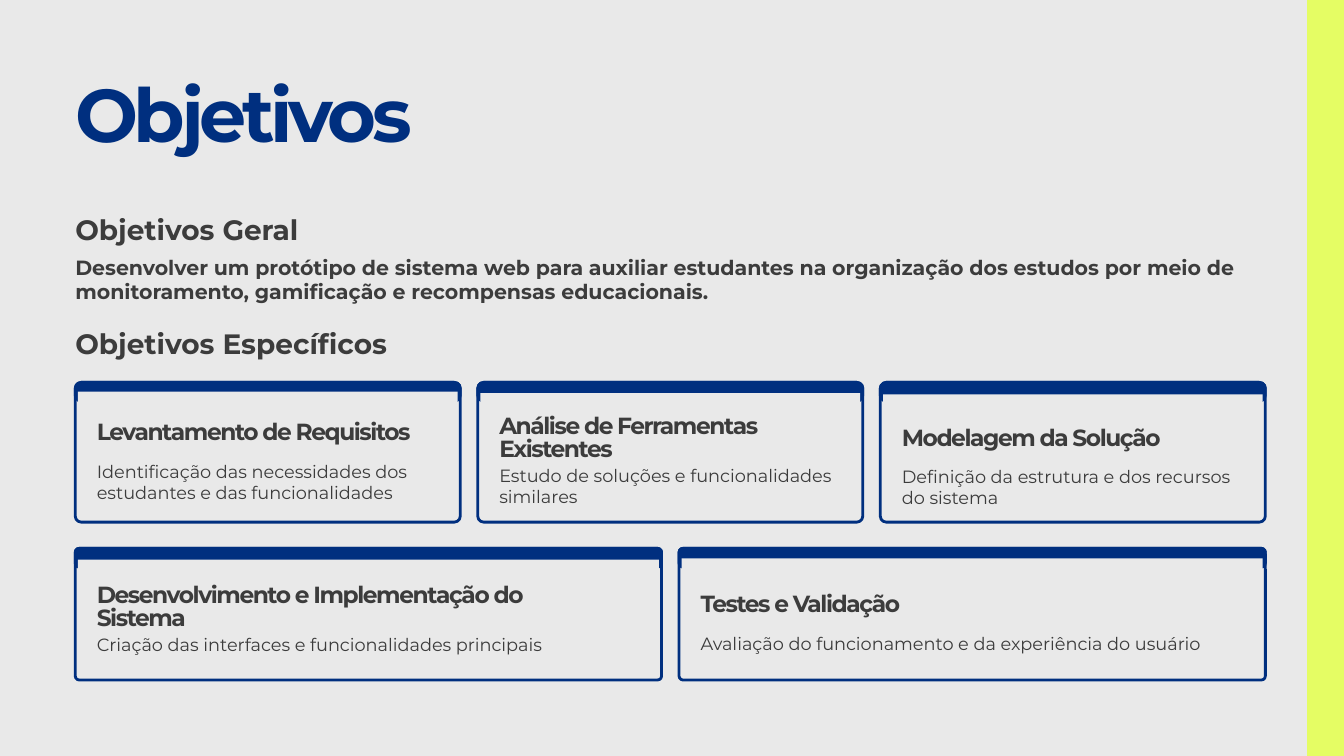
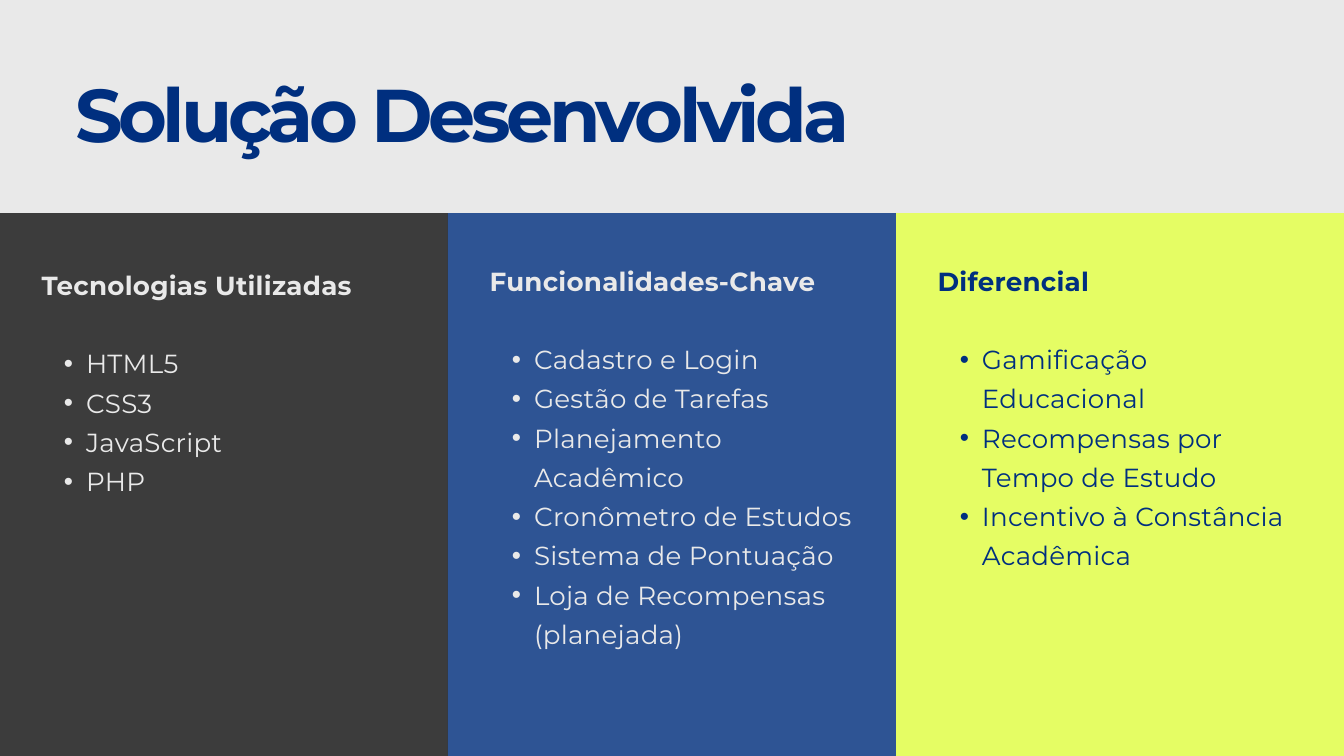
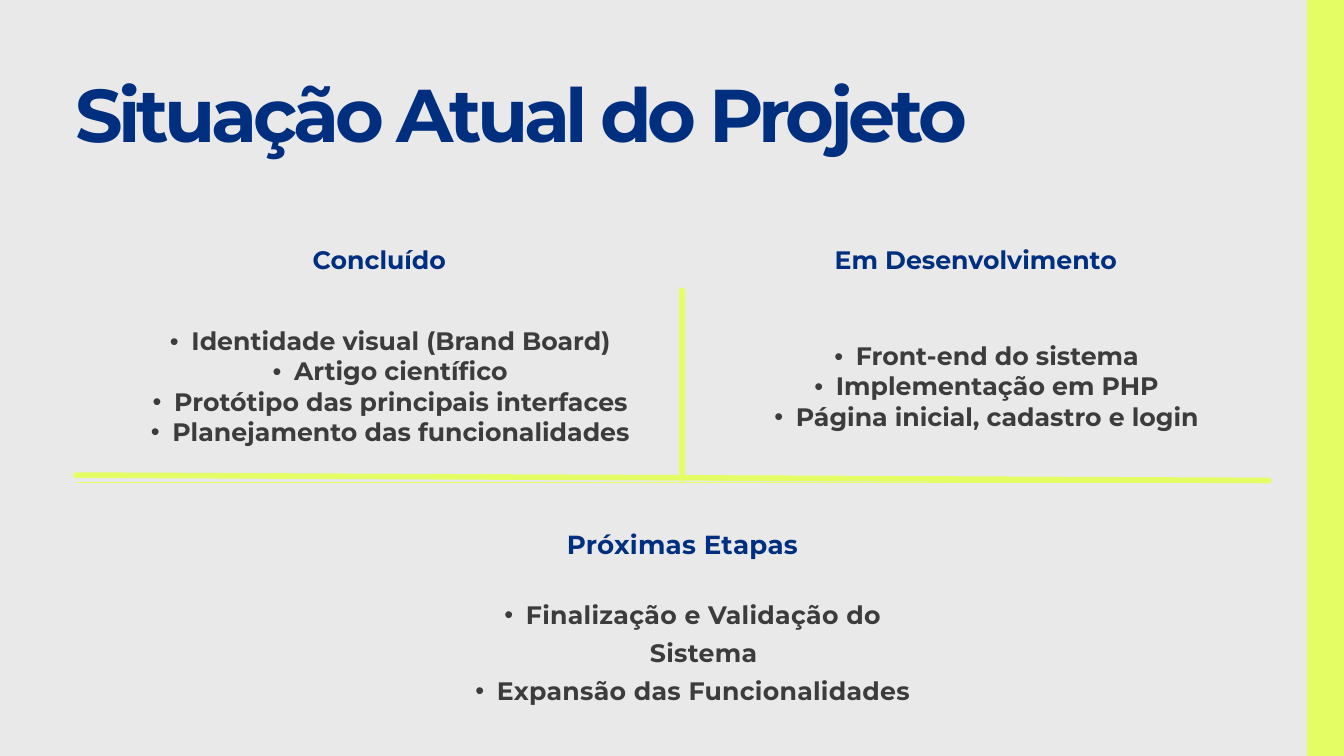
from collections import namedtuple
from lxml.etree import SubElement
from pptx import Presentation
from pptx.dml.color import RGBColor
from pptx.enum.shapes import MSO_CONNECTOR, MSO_SHAPE
from pptx.enum.text import MSO_ANCHOR, PP_ALIGN
from pptx.oxml.ns import qn
from pptx.util import Inches, Pt

Style = namedtuple("Style", "size leading bold tracking", defaults=(True, 0))


class Theme:
    font = "Montserrat"
    paper, navy, lime, ink = "E9E9E9", "002F7F", "E5FD64", "3C3C3C"
    title = Style(80, 64, tracking=-4.7)
    heading = Style(30, 36)
    goal = Style(22, 26.4)
    card_title = Style(25, 20, tracking=-1.5)
    card_title_tall = Style(25, 25, tracking=-1.5)
    card_body = Style(19, 22.8, False)
    column_title = Style(28, 42, tracking=0.3)
    column_item = Style(28, 42, False, 0.3)
    status_title = Style(27, 37.8)
    status_item = Style(27, 32.4)
    next_item = Style(27, 40.5, tracking=0.3)


def write(frame, lines, style, color, align=PP_ALIGN.LEFT, indent=0):
    """Append one paragraph per line, bulleted when an indent is given."""
    for line in lines:
        paragraph = frame.paragraphs[0] if not frame.text else frame.add_paragraph()
        paragraph.alignment = align
        paragraph.line_spacing = Pt(style.leading)
        if indent:
            paragraph.level = 1
            properties = paragraph._p.get_or_add_pPr()
            properties.set("marL", str(Inches(indent)))
            properties.set("indent", str(-Inches(indent / 2)))
            SubElement(properties, qn("a:buFont")).set("typeface", "Arial")
            SubElement(properties, qn("a:buChar")).set("char", "•")
        span = paragraph.add_run()
        span.text = line
        span.font.name = Theme.font
        span.font.size = Pt(style.size)
        span.font.bold = style.bold
        span.font.color.rgb = RGBColor.from_string(color)
        span._r.get_or_add_rPr().set("spc", str(round(style.tracking * 100)))


def add_block(page, place, fill=None, line=None, radius=0):
    kind = MSO_SHAPE.ROUNDED_RECTANGLE if radius else MSO_SHAPE.RECTANGLE
    block = page.shapes.add_shape(kind, *map(Inches, place))
    block.shadow.inherit = False
    if radius:
        block.adjustments[0] = radius / min(place[2:])
    if fill:
        block.fill.solid()
        block.fill.fore_color.rgb = RGBColor.from_string(fill)
    else:
        block.fill.background()
    if line:
        block.line.color.rgb = RGBColor.from_string(line)
        block.line.width = Pt(3)
    else:
        block.line.fill.background()
    return block


deck = Presentation()
deck.slide_width, deck.slide_height = Inches(20), Inches(11.25)

# Shared background, title and side band
pages = []
for title, has_band in [("Objetivos", True), ("Solução Desenvolvida", False),
                        ("Situação Atual do Projeto", True)]:
    page = deck.slides.add_slide(deck.slide_layouts[6])
    page.background.fill.solid()
    page.background.fill.fore_color.rgb = RGBColor.from_string(Theme.paper)
    if has_band:
        add_block(page, (19.45, 0, 0.55, 11.25), Theme.lime)
    box = page.shapes.add_textbox(Inches(1.12), Inches(1.46), Inches(17.75), Inches(1))
    write(box.text_frame, [title], Theme.title, Theme.navy)
    pages.append(page)
goals_page, solution_page, status_page = pages

# Objectives
for top, height, text, style in [
    (3.16, 0.48, "Objetivos Geral", Theme.heading),
    (3.79, 0.73, "Desenvolver um protótipo de sistema web para auxiliar estudantes na organização "
     "dos estudos por meio de monitoramento, gamificação e recompensas educacionais.", Theme.goal),
    (4.86, 0.5, "Objetivos Específicos", Theme.heading),
]:
    box = goals_page.shapes.add_textbox(Inches(1.12), Inches(top), Inches(17.75), Inches(height))
    write(box.text_frame, [text], style, Theme.ink)

# Each card: band thickness, title top, title style, title, body top, body
card_rows = [
    (5.69, 2.08, 0.09, 5.11, 5.11, [
        (0.14, 6.35, Theme.card_title, "Levantamento de Requisitos",
         6.85, "Identificação das necessidades dos estudantes e das funcionalidades"),
        (0.16, 6.19, Theme.card_title_tall, "Análise de Ferramentas Existentes",
         6.91, "Estudo de soluções e funcionalidades similares"),
        (0.18, 6.43, Theme.card_title, "Modelagem da Solução",
         6.93, "Definição da estrutura e dos recursos do sistema"),
    ]),
    (8.16, 1.96, 0.06, 7.61, 8.37, [
        (0.17, 8.7, Theme.card_title_tall, "Desenvolvimento e Implementação do Sistema",
         9.43, "Criação das interfaces e funcionalidades principais"),
        (0.15, 8.91, Theme.card_title, "Testes e Validação",
         9.41, "Avaliação do funcionamento e da experiência do usuário"),
    ]),
]
card_gap = 0.26
for top, height, radius, title_width, body_width, cards in card_rows:
    width = (17.71 - card_gap * (len(cards) - 1)) / len(cards)
    for index, (band, title_top, title_style, title, body_top, body) in enumerate(cards):
        left = 1.12 + index * (width + card_gap)
        add_block(goals_page, (left, top, width, height), None, Theme.navy, radius)
        add_block(goals_page, (left, top, width, 0.28), Theme.navy, Theme.navy, radius)
        add_block(goals_page, (left + 0.04, top + band, width - 0.08, 0.34), Theme.paper)
        for text, text_top, text_width, style in [
            (title, title_top, title_width, title_style),
            (body, body_top, body_width, Theme.card_body),
        ]:
            box = goals_page.shapes.add_textbox(
                Inches(left + 0.32), Inches(text_top), Inches(text_width), Inches(0.62))
            write(box.text_frame, [text], style, Theme.ink)

# Solution columns
columns = [
    (Theme.ink, 100, Theme.paper, 3.89, "Tecnologias Utilizadas",
     ["HTML5", "CSS3", "JavaScript", "PHP"]),
    (Theme.navy, 80, Theme.paper, 3.83, "Funcionalidades-Chave",
     ["Cadastro e Login", "Gestão de Tarefas", "Planejamento Acadêmico",
      "Cronômetro de Estudos", "Sistema de Pontuação", "Loja de Recompensas (planejada)"]),
    (Theme.lime, 100, Theme.navy, 3.83, "Diferencial",
     ["Gamificação Educacional", "Recompensas por Tempo de Estudo",
      "Incentivo à Constância Acadêmica"]),
]
column_width = 20 / len(columns)
for index, (fill, opacity, color, top, title, items) in enumerate(columns):
    left = index * column_width
    column = add_block(solution_page, (left, 3.17, column_width, 8.08), fill)
    if opacity < 100:
        fill_color = column._element.spPr.find(qn("a:solidFill")).find(qn("a:srgbClr"))
        SubElement(fill_color, qn("a:alpha")).set("val", str(opacity * 1000))
    box = solution_page.shapes.add_textbox(
        Inches(left + 0.62), Inches(top), Inches(5.42), Inches(5.69))
    write(box.text_frame, [title], Theme.column_title, color)
    write(box.text_frame, items, Theme.column_item, color, indent=0.66)
    box.text_frame.paragraphs[1].space_before = Pt(Theme.column_item.leading)

# Project status
status = [
    ("Concluído", ["Identidade visual (Brand Board)", "Artigo científico",
                   "Protótipo das principais interfaces", "Planejamento das funcionalidades"]),
    ("Em Desenvolvimento", ["Front-end do sistema", "Implementação em PHP",
                            "Página inicial, cadastro e login"]),
]
table = status_page.shapes.add_table(
    2, 2, Inches(1.13), Inches(3.33), Inches(17.75), Inches(3.85)).table
table.first_row = table.horz_banding = False
for index, size in enumerate([9.03, 8.72]):
    table.columns[index].width = Inches(size)
for index, size in enumerate([1.01, 2.84]):
    table.rows[index].height = Inches(size)
for index, (title, items) in enumerate(status):
    inner_side = "R" if index == 0 else "L"
    for row, (lines, style, color, indent, ruled) in enumerate([
        ([title], Theme.status_title, Theme.navy, 0, ""),
        (items, Theme.status_item, Theme.ink, 0.64, inner_side + "B"),
    ]):
        cell = table.cell(row, index)
        cell.vertical_anchor = MSO_ANCHOR.MIDDLE
        cell.margin_left = cell.margin_right = Inches(0.21)
        cell.margin_top = cell.margin_bottom = Inches(0.21)
        write(cell.text_frame, lines, style, color, PP_ALIGN.CENTER, indent)
        for side in "LRTB":
            border = SubElement(cell._tc.get_or_add_tcPr(), qn("a:ln" + side))
            if side in ruled:
                border.set("w", str(Pt(2.25)))
                border_fill = SubElement(border, qn("a:solidFill"))
                SubElement(border_fill, qn("a:srgbClr")).set("val", Theme.lime)
            else:
                SubElement(border, qn("a:noFill"))
        cell.fill.background()

for ends in [(1.13, 7.07, 18.88, 7.15), (10.15, 7.1, 10.15, 4.32)]:
    divider = status_page.shapes.add_connector(MSO_CONNECTOR.STRAIGHT, *map(Inches, ends))
    divider.line.color.rgb = RGBColor.from_string(Theme.lime)
    divider.line.width = Pt(6)
    divider.line._get_or_add_ln().set("cap", "rnd")
    SubElement(divider._element.spPr, qn("a:effectLst"))

for place, lines, style, color, indent in [
    ((8.37, 7.74, 3.57, 0.53), ["Próximas Etapas"], Theme.column_title, Theme.navy, 0),
    ((6.46, 8.81, 7.38, 1.1), ["Finalização e Validação do Sistema",
                               "Expansão das Funcionalidades"], Theme.next_item, Theme.ink, 0.64),
]:
    box = status_page.shapes.add_textbox(*map(Inches, place))
    write(box.text_frame, lines, style, color, PP_ALIGN.CENTER, indent)

# Text boxes wrap and have no inner margins
for page in pages:
    for shape in page.shapes:
        if shape.has_text_frame:
            frame = shape.text_frame
            frame.word_wrap = True
            frame.margin_left = frame.margin_right = 0
            frame.margin_top = frame.margin_bottom = 0

deck.save("out.pptx")
